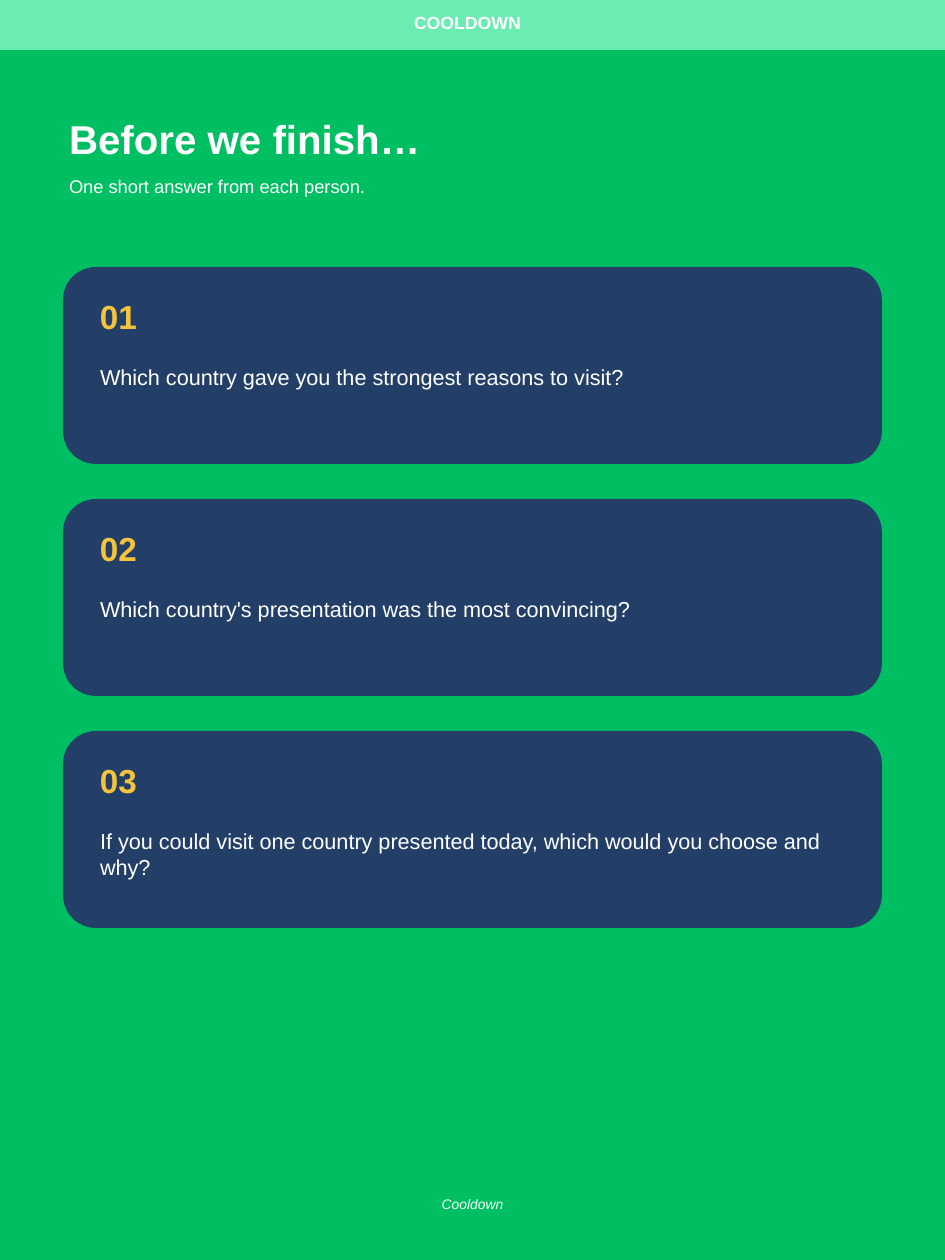
from pptx import Presentation
from pptx.dml.color import RGBColor
from pptx.enum.shapes import MSO_SHAPE
from pptx.enum.text import MSO_ANCHOR, MSO_AUTO_SIZE, PP_ALIGN
from pptx.util import Pt

RECTANGLE = MSO_SHAPE.RECTANGLE
ROUNDED = MSO_SHAPE.ROUNDED_RECTANGLE
TOP, MIDDLE = MSO_ANCHOR.TOP, MSO_ANCHOR.MIDDLE
LEFT, CENTER = PP_ALIGN.LEFT, PP_ALIGN.CENTER
NO_AUTOFIT = MSO_AUTO_SIZE.NONE

GREEN = RGBColor(0x00, 0xBF, 0x63)
MINT = RGBColor(0x6B, 0xEC, 0xB1)
NAVY = RGBColor(0x23, 0x3F, 0x68)
YELLOW = RGBColor(0xF6, 0xC4, 0x3C)
WHITE = RGBColor(0xFF, 0xFF, 0xFF)

BANNER = "COOLDOWN"
TITLE = "Before we finish…"
SUBTITLE = "One short answer from each person."
QUESTIONS = [
    "Which country gave you the strongest reasons to visit?",
    "Which country's presentation was the most convincing?",
    "If you could visit one country presented today, which would you choose and why?",
]
FOOTER = "Cooldown"

PX = 914400 / 126
SLIDE_WIDTH, SLIDE_HEIGHT = 945, 1260
CARD_LEFT, CARD_TOP, CARD_WIDTH, CARD_HEIGHT = 63, 267, 819, 197
CARD_GAP, CARD_RADIUS = 35, 33
CARD_TEXT_LEFT, NUMBER_OFFSET, QUESTION_OFFSET = 100, 29, 97


def px(*lengths):
    return [round(length * PX) for length in lengths]


def write(shape, text, size, spacing, color=WHITE, bold=False, italic=False,
          align=LEFT, anchor=TOP):
    frame = shape.text_frame
    frame.word_wrap = True
    frame.auto_size = NO_AUTOFIT
    frame.vertical_anchor = anchor
    frame.margin_left = frame.margin_top = frame.margin_right = frame.margin_bottom = 0
    frame.text = text
    paragraph = frame.paragraphs[0]
    paragraph.alignment = align
    paragraph.line_spacing = Pt(spacing)
    font = paragraph.font
    font.name, font.size = "Arial", Pt(size)
    font.bold, font.italic = bold, italic
    font.color.rgb = color


def add_panel(slide, kind, box, color):
    panel = slide.shapes.add_shape(kind, *px(*box))
    panel.shadow.inherit = False
    panel.fill.solid()
    panel.fill.fore_color.rgb = color
    panel.line.fill.background()
    return panel


def add_label(slide, box, text, size, spacing, **style):
    write(slide.shapes.add_textbox(*px(*box)), text, size, spacing, **style)


def add_card(slide, index, question):
    top = CARD_TOP + index * (CARD_HEIGHT + CARD_GAP)
    card = add_panel(slide, ROUNDED, (CARD_LEFT, top, CARD_WIDTH, CARD_HEIGHT), NAVY)
    card.adjustments[0] = CARD_RADIUS / CARD_HEIGHT
    add_label(slide, (CARD_TEXT_LEFT, top + NUMBER_OFFSET, 74, 37),
              f"{index + 1:02}", 19, 22.8, color=YELLOW, bold=True)
    add_label(slide, (CARD_TEXT_LEFT, top + QUESTION_OFFSET, 736, 52),
              question, 12.4, 14.9)


def main():
    deck = Presentation()
    deck.slide_width, deck.slide_height = px(SLIDE_WIDTH, SLIDE_HEIGHT)
    title_only = deck.slide_layouts[5]
    slide = deck.slides.add_slide(title_only)
    slide.background.fill.solid()
    slide.background.fill.fore_color.rgb = GREEN

    banner = add_panel(slide, RECTANGLE, (-18, -6, 971, 56), MINT)
    write(banner, BANNER, 10.1, 12.1, bold=True, align=CENTER, anchor=MIDDLE)

    title = slide.shapes.title
    title.left, title.top, title.width, title.height = px(69, 114, 767, 50)
    write(title, TITLE, 23, 27.6, bold=True)
    add_label(slide, (69, 175, 748, 34), SUBTITLE, 10.5, 12.6)

    for index, question in enumerate(QUESTIONS):
        add_card(slide, index, question)

    add_label(slide, (35, 1196, 875, 19), FOOTER, 7.9, 9.5, italic=True, align=CENTER)
    deck.save("out.pptx")


if __name__ == "__main__":
    main()
